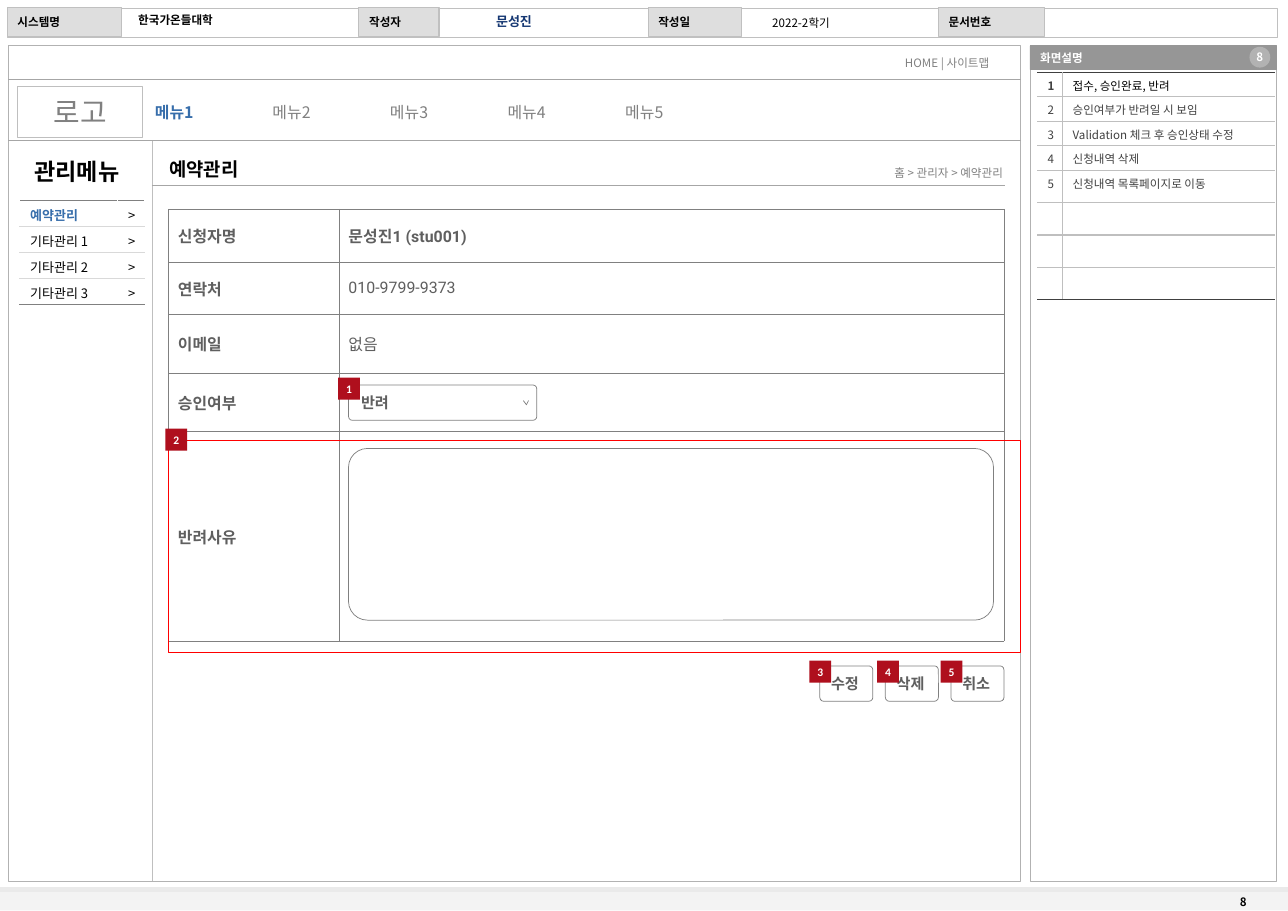
from lxml import etree
from pptx import Presentation
from pptx.dml.color import RGBColor
from pptx.enum import shapes, text
from pptx.oxml.ns import qn
from pptx.util import Inches, Pt

COLORS = {
    "white": "FFFFFF", "black": "000000", "footer": "F3F3F3", "footer_line": "EAEAEA",
    "frame": "B2B2B2", "bar": "C0C0C0", "label": "DEDEDE", "heading": "969696",
    "rule": "A6A6A6", "light": "BFBFBF", "pale": "D9D9D9", "gray": "808080",
    "dark": "404040", "body": "5F5F5F", "navy": "163873", "blue": "376EAB",
    "marker": "AF0F1D", "red": "FF0000",
}
NOTO = "Noto Sans CJK KR"
ALIGN = {"l": text.PP_ALIGN.LEFT, "c": text.PP_ALIGN.CENTER, "r": text.PP_ALIGN.RIGHT}
RECT = shapes.MSO_SHAPE.RECTANGLE
ROUND = shapes.MSO_SHAPE.ROUNDED_RECTANGLE
OVAL = shapes.MSO_SHAPE.OVAL


def rgb(name):
    return RGBColor.from_string(COLORS[name])


def write(frame, words, size=8, color="black", bold=False, align="l", font=NOTO):
    """Add a run to the first paragraph of the frame."""
    para = frame.paragraphs[0]
    para.alignment = ALIGN[align]
    span = para.add_run()
    span.text = words
    span.font.size = Pt(size)
    span.font.bold = bold
    span.font.color.rgb = rgb(color)
    span.font.name = font
    etree.SubElement(span._r.get_or_add_rPr(), qn("a:ea"), typeface=NOTO)


def set_margins(holder, margins):
    sides = ("margin_left", "margin_top", "margin_right", "margin_bottom")
    for side, margin in zip(sides, margins):
        setattr(holder, side, Inches(margin))


def paint(shape, fill=None, line=None, weight=0.5):
    shape.shadow.inherit = False
    if fill:
        shape.fill.solid()
        shape.fill.fore_color.rgb = rgb(fill)
    else:
        shape.fill.background()
    if line:
        shape.line.color.rgb = rgb(line)
        shape.line.width = Pt(weight)
    else:
        shape.line.fill.background()


def add_box(page, kind, place, words=None, fill=None, line=None, weight=0.5,
            radius=None, margins=(0.1, 0.05, 0.1, 0.05), **style):
    box = page.shapes.add_shape(kind, *map(Inches, place))
    paint(box, fill, line, weight)
    if radius:
        box.adjustments[0] = radius
    if words:
        frame = box.text_frame
        frame.word_wrap = True
        frame.vertical_anchor = text.MSO_ANCHOR.MIDDLE
        set_margins(frame, margins)
        write(frame, words, **style)


def add_text(page, place, words, **style):
    frame = page.shapes.add_textbox(*map(Inches, place)).text_frame
    frame.word_wrap = True
    write(frame, words, **style)
    return frame


def add_line(page, start, end, color="rule", weight=0.75):
    line = page.shapes.add_connector(
        shapes.MSO_CONNECTOR.STRAIGHT, *map(Inches, start + end))
    line.line.color.rgb = rgb(color)
    line.line.width = Pt(weight)
    etree.SubElement(line._element.spPr, qn("a:effectLst"))


def set_tabs(para, pitch, count):
    tabs = etree.SubElement(para._p.get_or_add_pPr(), qn("a:tabLst"))
    for index in range(1, count + 1):
        etree.SubElement(tabs, qn("a:tab"), pos=str(Inches(pitch * index)), algn="l")


def set_borders(cell, weight, colors):
    """Colours are given for left, right, top and bottom; None hides a side."""
    props = cell._tc.get_or_add_tcPr()
    for index, (side, color) in enumerate(zip("LRTB", colors)):
        line = etree.Element(qn("a:ln" + side), w=str(Pt(weight)))
        if color:
            fill = etree.SubElement(line, qn("a:solidFill"))
            etree.SubElement(fill, qn("a:srgbClr"), val=COLORS[color])
        else:
            etree.SubElement(line, qn("a:noFill"))
        props.insert(index, line)


def add_grid(page, corner, widths, heights, margins, anchor, fill=None):
    place = (*corner, sum(widths), sum(heights))
    table = page.shapes.add_table(
        len(heights), len(widths), *map(Inches, place)).table
    table.first_row = table.horz_banding = False
    for column, width in zip(table.columns, widths):
        column.width = Inches(width)
    for row, height in zip(table.rows, heights):
        row.height = Inches(height)
    for cell in table.iter_cells():
        set_margins(cell, margins)
        cell.vertical_anchor = anchor
        if fill:
            cell.fill.solid()
            cell.fill.fore_color.rgb = rgb(fill)
        else:
            cell.fill.background()
        cell.text_frame.paragraphs[0].font.size = Pt(8)
    return table


def add_document_bar(page):
    add_box(page, RECT, (0, 8.55, 12.38, 0.2), fill="footer")
    add_line(page, (0, 8.55), (12.38, 8.55), "footer_line", 3)
    add_box(page, RECT, (0.08, 0.44, 9.73, 8.03), line="frame", weight=0.75)
    add_box(page, RECT, (9.9, 0.67, 2.37, 7.8), line="frame")
    add_box(page, RECT, (0.07, 0.08, 12.21, 0.28), fill="white", line="bar", weight=0.75)
    labels = [("시스템명", 0.07, 1.1), ("작성자", 3.45, 0.77),
              ("작성일", 6.23, 0.9), ("문서번호", 9.02, 1.02)]
    for words, left, width in labels:
        add_box(page, RECT, (left, 0.07, width, 0.28), words, fill="label",
                line="bar", weight=0.75, bold=True)
    add_text(page, (11.82, 8.55, 0.55, 0.24), "8", bold=True)
    add_text(page, (4.23, 0.08, 1.42, 0.25), "문성진", size=9, color="navy",
             bold=True, align="c")
    add_text(page, (1.23, 0.08, 2.22, 0.24), "한국가온들대학", bold=True)
    add_text(page, (7.2, 0.1, 1, 0.24), "2022-2학기", align="c")


def add_navigation(page):
    add_line(page, (1.46, 1.35), (1.46, 8.47), "light", 0.25)
    add_line(page, (1.46, 1.78), (9.66, 1.78))
    add_line(page, (0.08, 1.35), (9.81, 1.35))
    add_line(page, (3.67, 0.76), (9.81, 0.76))
    add_line(page, (0.08, 0.76), (4.22, 0.76))
    add_text(page, (0.08, 1.46, 1.32, 0.37), "관리메뉴", size=16, bold=True, align="c")
    add_text(page, (1.53, 1.47, 1.2, 0.32), "예약관리", size=13, bold=True)
    add_text(page, (8, 1.55, 1.74, 0.24), "홈 > 관리자 > 예약관리", color="gray", align="r")
    add_text(page, (8.6, 0.49, 1.2, 0.24), "HOME | 사이트맵", color="gray")
    tabs = add_text(page, (1.39, 0.94, 6.52, 0.29), "메뉴1", size=11, color="blue", bold=True)
    write(tabs, "\t메뉴2\t메뉴3\t메뉴4\t메뉴5", size=11, color="gray")
    set_tabs(tabs.paragraphs[0], 1.13, 4)
    add_box(page, RECT, (0.17, 0.83, 1.2, 0.49), "로고", fill="white", line="light",
            weight=0.25, size=20, color="gray", align="c")

    items = ["예약관리", "기타관리 1", "기타관리 2", "기타관리 3"]
    menu = add_grid(page, (0.19, 1.93), (0.94, 0.26), [0.25] * 4,
                    (0.1, 0.04, 0.09, 0.02), text.MSO_ANCHOR.MIDDLE)
    for row, item in enumerate(items):
        first, last = row == 0, row == len(items) - 1
        write(menu.cell(row, 0).text_frame, item, size=9, bold=first,
              color="blue" if first else "black")
        write(menu.cell(row, 1).text_frame, ">", size=9, align="r")
        for column in range(2):
            set_borders(menu.cell(row, column), 1, (
                "white", "white", "gray" if first else "pale", "gray" if last else "pale"))


def add_descriptions(page):
    add_box(page, RECT, (9.9, 0.44, 2.37, 0.23), "화면설명", fill="heading",
            line="heading", color="white", bold=True)
    add_box(page, OVAL, (12.01, 0.45, 0.2, 0.2), "8", fill="frame",
            margins=(0, 0, 0, 0), color="white", bold=True, align="c")
    notes = ["접수, 승인완료, 반려", "승인여부가 반려일 시 보임",
             "Validation 체크 후 승인상태 수정", "신청내역 삭제", "신청내역 목록페이지로 이동"]
    heights = [0.23, 0.24] * 2 + [0.31] * 4
    table = add_grid(page, (9.97, 0.7), (0.24, 2.05), heights,
                     (0.1, 0.04, 0.02, 0.02), text.MSO_ANCHOR.TOP, "white")
    for row, note in enumerate(notes):
        first = row == 0
        write(table.cell(row, 0).text_frame, str(row + 1), color="dark", bold=first)
        write(table.cell(row, 1).text_frame, note, color="black" if first else "dark")
    for row in range(len(heights)):
        top = "dark" if row == 0 else "light"
        bottom = "dark" if row == len(heights) - 1 else "light"
        set_borders(table.cell(row, 0), 1, (None, "light", top, bottom))
        set_borders(table.cell(row, 1), 1, ("light", None, top, bottom))


def add_form(page):
    fields = [("신청자명", "문성진1 (stu001)"), ("연락처", "010-9799-9373"),
              ("이메일", "없음"), ("승인여부", ""), ("반려사유", "")]
    form = add_grid(page, (1.62, 2.01), (1.64, 6.39), (0.51, 0.5, 0.57, 0.56, 2.01),
                    [0.09] * 4, text.MSO_ANCHOR.MIDDLE)
    for row, (label, value) in enumerate(fields):
        write(form.cell(row, 0).text_frame, label, size=11, color="body", bold=True,
              font="Roboto")
        if value:
            write(form.cell(row, 1).text_frame, value, size=11, color="body",
                  bold=row == 0, font="Roboto")
    for cell in form.iter_cells():
        set_borders(cell, 0.5, ["gray"] * 4)

    control = dict(fill="white", line="gray", radius=0.11)
    caption = dict(size=10.5, color="body", bold=True, font="Roboto")
    add_box(page, ROUND, (3.35, 3.7, 1.81, 0.34), "반려",
            margins=(0.11, 0.07, 0.3, 0.07), **control, **caption)
    outline = page.shapes.build_freeform(Inches(5.08), Inches(3.85))
    outline.add_line_segments(
        [(Inches(5.06), Inches(3.89)), (Inches(5.03), Inches(3.85))], close=False)
    paint(outline.convert_to_shape(), line="gray")
    add_box(page, ROUND, (3.35, 4.31, 6.2, 1.65), **control)
    for index, words in enumerate(["수정", "삭제", "취소"]):
        add_box(page, ROUND, (7.88 + 0.63 * index, 6.4, 0.51, 0.34), words,
                margins=(0.1, 0.07, 0.1, 0.07), **control, **caption)


def add_markers(page):
    add_box(page, RECT, (1.62, 4.23, 8.19, 2.04), line="red", weight=0.25)
    corners = [(3.25, 3.63), (1.59, 4.12), (7.78, 6.35), (8.43, 6.35), (9.04, 6.35)]
    for number, corner in enumerate(corners, 1):
        add_box(page, RECT, (*corner, 0.21, 0.21), str(number), fill="marker",
                margins=(0, 0, 0, 0), color="white", bold=True, align="c", font="Calibri")


def main():
    deck = Presentation()
    deck.slide_width, deck.slide_height = Inches(12.38), Inches(8.755)
    page = deck.slides.add_slide(deck.slide_layouts[6])
    add_document_bar(page)
    add_navigation(page)
    add_descriptions(page)
    add_form(page)
    add_markers(page)
    deck.save("out.pptx")


if __name__ == "__main__":
    main()
